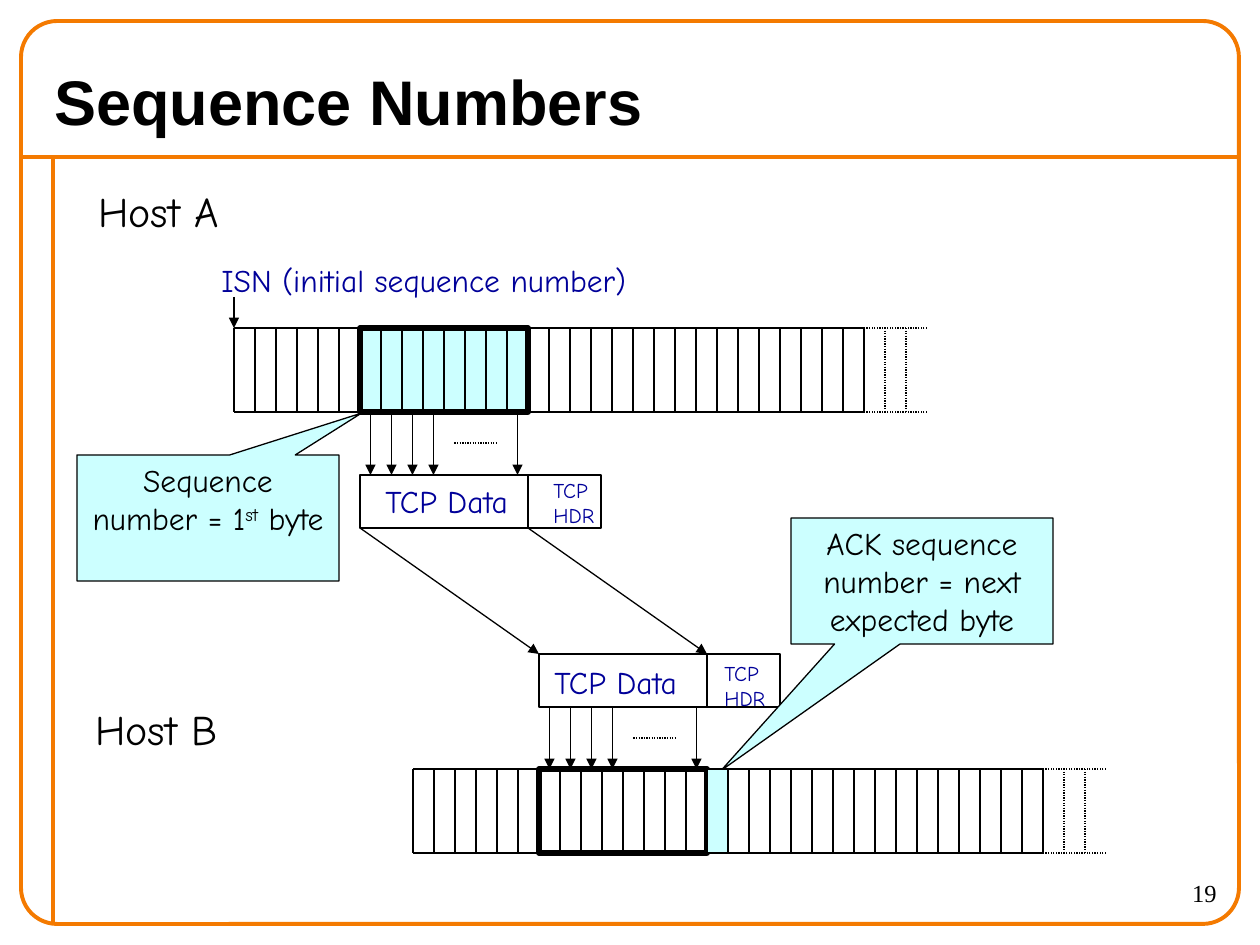
from lxml import etree
from pptx import Presentation
from pptx import util as u
from pptx.dml.color import RGBColor
from pptx.enum import dml, shapes, text
from pptx.oxml import ns

SHAPE = shapes.MSO_SHAPE
ALIGN = text.PP_ALIGN
ANCHOR = text.MSO_ANCHOR
ORANGE, BLACK, WHITE, CYAN, NAVY = "F47A00", "000000", "FFFFFF", "CCFFFF", "000099"
HAND = "Comic Neue"
PITCH = 21
RULER_H = 84
SOLID_CELLS = 30
EXTRA_CELLS = 3
SEGMENT_START, SEGMENT_CELLS = 6, 8
SEGMENT_W = SEGMENT_CELLS * PITCH
PACKET_H, HEADER_W = 53, 73


def px(n):
    return u.Emu(round(n * 914400 / 126))


def color(value):
    return RGBColor.from_string(value)


class Deck:
    def __init__(self, prs):
        self.s = prs.slides.add_slide(prs.slide_layouts[6])

    def line(self, x1, y1, x2, y2, c=BLACK, width=0.75, arrow=False, dotted=False):
        cn = self.s.shapes.add_connector(
            shapes.MSO_CONNECTOR.STRAIGHT, px(x1), px(y1), px(x2), px(y2))
        cn.line.color.rgb = color(c)
        cn.line.width = u.Pt(width)
        if dotted:
            cn.line.dash_style = dml.MSO_LINE.ROUND_DOT
        if arrow:
            etree.SubElement(cn.line._get_or_add_ln(), ns.qn("a:tailEnd"), type="triangle")
        etree.SubElement(cn._element.spPr, ns.qn("a:effectLst"))

    def shape(self, kind, x, y, w, h, fill=None, c=BLACK, width=0.75, adj=()):
        sp = self.s.shapes.add_shape(kind, px(x), px(y), px(w), px(h))
        sp.shadow.inherit = False
        if fill:
            sp.fill.solid()
            sp.fill.fore_color.rgb = color(fill)
        else:
            sp.fill.background()
        sp.line.color.rgb = color(c)
        sp.line.width = u.Pt(width)
        for i, value in enumerate(adj):
            sp.adjustments[i] = value
        return sp

    def style(self, tf, size, c=BLACK, font=HAND, bold=False, align=ALIGN.LEFT):
        for p in tf.paragraphs:
            p.alignment = align
            for r in p.runs:
                r.font.name = font
                r.font.size = u.Pt(size)
                r.font.bold = bold
                r.font.color.rgb = color(c)

    def text(self, words, x, y, w, h, size, wrap=False, anchor=ANCHOR.TOP, **look):
        tf = self.s.shapes.add_textbox(px(x), px(y), px(w), px(h)).text_frame
        tf.word_wrap = wrap
        tf.vertical_anchor = anchor
        tf.text = words
        self.style(tf, size, **look)

    def callout(self, words, x, y, adj, superscript="", rest=""):
        sp = self.shape(SHAPE.RECTANGULAR_CALLOUT, x, y, 262, 126, CYAN, adj=adj)
        tf = sp.text_frame
        tf.word_wrap = True
        tf.vertical_anchor = ANCHOR.TOP
        tf.text = words
        if superscript:
            r = tf.paragraphs[0].add_run()
            r.text = superscript
            r.font._element.set("baseline", "30000")
            tf.paragraphs[0].add_run().text = rest
        self.style(tf, 18, align=ALIGN.CENTER)

    def byte_stream(self, x, y):
        solid_end = x + SOLID_CELLS * PITCH
        for edge in (y, y + RULER_H):
            self.line(x, edge, solid_end, edge)
            self.line(solid_end + EXTRA_CELLS * PITCH, edge, solid_end, edge, dotted=True)
        for i in range(SOLID_CELLS + EXTRA_CELLS):
            self.line(x + i * PITCH, y, x + i * PITCH, y + RULER_H, dotted=i > SOLID_CELLS)

    def segment(self, x, y, fill=None):
        self.shape(SHAPE.RECTANGLE, x, y, SEGMENT_W, RULER_H, fill, width=3)

    def packet(self, x, y, data_at, header_at):
        self.shape(SHAPE.RECTANGLE, x, y, SEGMENT_W, PACKET_H, WHITE)
        self.text("TCP Data", *data_at, 150, 50, 18, c=NAVY)
        self.shape(SHAPE.RECTANGLE, x + SEGMENT_W, y, HEADER_W, PACKET_H, WHITE)
        self.text("TCP\nHDR", *header_at, 68, 63, 12, c=NAVY)

    def byte_arrows(self, x, top, bottom):
        for i in (0, 1, 2, 3, SEGMENT_CELLS - 1):
            cell = x + (i + 0.5) * PITCH
            self.line(cell, top, cell, bottom, arrow=True)
        middle = (top + bottom) // 2
        self.line(x + 4.5 * PITCH, middle, x + 6.5 * PITCH, middle, dotted=True)


def main():
    prs = Presentation()
    prs.slide_width, prs.slide_height = px(1260), px(945)
    d = Deck(prs)

    d.line(21, 157, 1239, 157, ORANGE, 2.25)
    d.line(53, 157, 53, 924, ORANGE, 2.25)
    d.shape(SHAPE.ROUNDED_RECTANGLE, 21, 21, 1218, 903, c=ORANGE, width=2.25, adj=[0.04])
    d.text("Sequence Numbers", 42, 53, 1111, 95, 36, wrap=True,
           anchor=ANCHOR.MIDDLE, font="Arial", bold=True)

    a_x, a_y, b_x, b_y = 234, 328, 413, 769
    a_seg = a_x + SEGMENT_START * PITCH
    b_seg = b_x + SEGMENT_START * PITCH
    a_packet_y, b_packet_y = 475, 654

    d.segment(a_seg, a_y, CYAN)
    d.byte_stream(a_x, a_y)
    d.byte_stream(b_x, b_y)
    d.text("Host A", 86, 179, 145, 63, 24)
    d.text("Host B", 83, 697, 147, 63, 24)

    d.packet(a_seg, a_packet_y, (373, 476), (541, 471))
    d.packet(b_seg, b_packet_y, (542, 657), (712, 654))
    for offset in (0, SEGMENT_W):
        d.line(a_seg + offset, a_packet_y + PACKET_H, b_seg + offset, b_packet_y, arrow=True)
    d.byte_arrows(a_seg, a_y + RULER_H, a_packet_y)
    d.byte_arrows(b_seg, b_packet_y + PACKET_H, b_y)

    d.text("ISN (initial sequence number)", 209, 255, 430, 50, 18, c=NAVY)
    d.line(a_x, 297, a_x, a_y, arrow=True)
    d.callout("Sequence number = 1", 77, 455, (0.586, -0.832), "st", " byte")
    d.segment(b_seg, b_y)
    d.callout("ACK sequence number = next expected byte", 791, 518, (-0.767, 1.505))
    d.shape(SHAPE.RECTANGLE, b_seg + SEGMENT_W, b_y, PITCH, RULER_H, CYAN)
    d.text("19", 1103, 872, 126, 53, 14, wrap=True, font="Times New Roman", align=ALIGN.RIGHT)

    prs.save("out.pptx")


if __name__ == "__main__":
    main()
